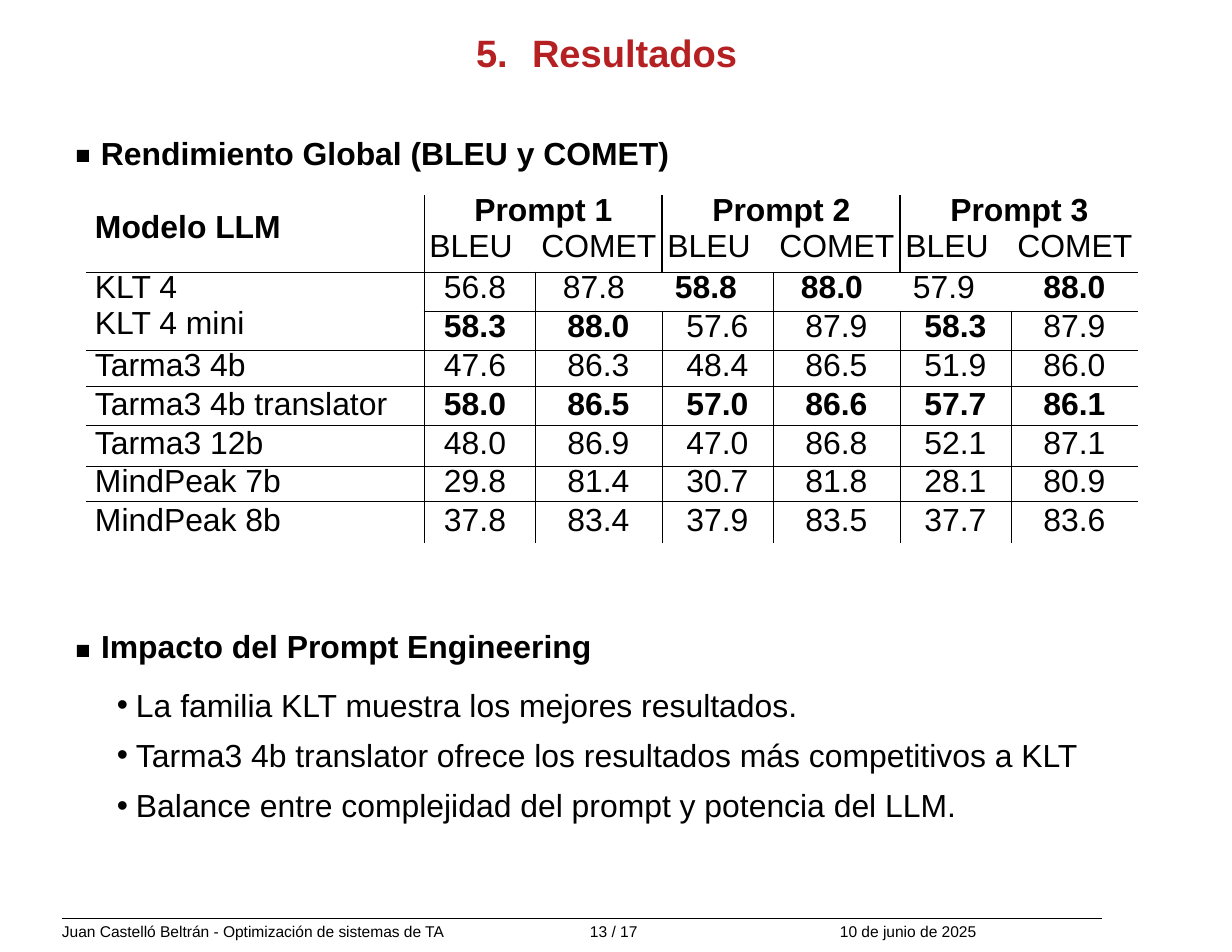
from lxml import etree
from pptx import Presentation
from pptx.dml.color import RGBColor
from pptx.enum.shapes import MSO_CONNECTOR, MSO_SHAPE
from pptx.enum.text import MSO_ANCHOR, MSO_AUTO_SIZE, PP_ALIGN
from pptx.oxml.ns import qn
from pptx.util import Pt

EMU_PER_PX = 914400 / 112
STRAIGHT = MSO_CONNECTOR.STRAIGHT
RECTANGLE = MSO_SHAPE.RECTANGLE
TOP = MSO_ANCHOR.TOP
NO_FIT = MSO_AUTO_SIZE.NONE
LEFT, CENTER = PP_ALIGN.LEFT, PP_ALIGN.CENTER

COLORS = {"title": "B52123", "ink": "000000"}
PLAIN_TABLE = "{2D5ABB26-0587-4C30-8999-92F81FD0307C}"

# Results: "*" marks the best values, a tab separates values in a joined cell
HEADER = ["Modelo LLM", "Prompt 1", "Prompt 2", "Prompt 3"]
METRICS = "BLEU\tCOMET"
RESULTS = [
    (["KLT 4", "56.8", "87.8\t*58.8", None, "*88.0\t57.9", None, "*88.0"], 21.6),
    (["KLT 4 mini", "*58.3", "*88.0", "57.6", "87.9", "*58.3", "87.9"], 21.4),
    (["Tarma3 4b", "47.6", "86.3", "48.4", "86.5", "51.9", "86.0"], 21.6),
    (["Tarma3 4b translator", "*58.0", "*86.5", "*57.0", "*86.6", "*57.7", "*86.1"], 23.4),
    (["Tarma3 12b", "48.0", "86.9", "47.0", "86.8", "52.1", "87.1"], 23.3),
    (["MindPeak 7b", "29.8", "81.4", "30.7", "81.8", "28.1", "80.9"], 21.6),
    (["MindPeak 8b", "37.8", "83.4", "37.9", "83.5", "37.7", "83.6"], 23.4),
]
COLUMN_WIDTHS = [338] + [111, 127] * 3
ROW_HEIGHTS = [77, 39, 39, 36, 39, 41, 36, 41]
RULED_ROWS = {1, 2, 3, 4, 6, 7}  # rows with a line above them

FINDINGS = [
    ("La familia KLT muestra los mejores resultados.", 12.9),
    ("Tarma3 4b translator ofrece los resultados más competitivos a KLT", 7.8),
    ("Balance entre complejidad del prompt y potencia del LLM.", 7.8),
]
FOOTER = [
    (61, 395, "Juan Castelló Beltrán - Optimización de sistemas de TA"),
    (589, 56, "13 / 17"),
    (839, 145, "10 de junio de 2025"),
]


def px(length):
    return round(length * EMU_PER_PX)


def rgb(name):
    return RGBColor.from_string(COLORS[name])


class Deck:
    font = "Arial"
    text_size = 20.5

    def __init__(self, width, height):
        self.presentation = Presentation()
        self.presentation.slide_width = px(width)
        self.presentation.slide_height = px(height)
        self.slide = None

    def new_slide(self):
        layout = self.presentation.slide_layouts[1]
        self.slide = self.presentation.slides.add_slide(layout)

    def run(self, paragraph, text, bold=False, size=None, color="ink"):
        run = paragraph.add_run()
        run.text = text
        formats = {"name": self.font, "size": Pt(size or self.text_size), "bold": bold}
        for attribute, value in formats.items():
            setattr(run.font, attribute, value)
        run.font.color.rgb = rgb(color)

    def paragraph(self, paragraph, align=LEFT, indent=0, hanging=0, before=0,
                  spacing=None, bullet=None, tab=None):
        formats = {"alignment": align, "space_before": Pt(before)}
        if spacing:
            formats["line_spacing"] = Pt(spacing)
        for attribute, value in formats.items():
            setattr(paragraph, attribute, value)
        properties = paragraph._p.get_or_add_pPr()
        properties.set("marL", str(px(indent)))
        properties.set("indent", str(-px(hanging)))
        if bullet:
            etree.SubElement(properties, qn("a:buChar")).set("char", bullet)
        else:
            etree.SubElement(properties, qn("a:buNone"))
        if tab:
            tabs = etree.SubElement(properties, qn("a:tabLst"))
            stop = etree.SubElement(tabs, qn("a:tab"))
            stop.set("pos", str(px(tab)))
            stop.set("algn", "l")

    def place(self, shape, left, top, width, height, inset=0):
        box = {"left": left, "top": top, "width": width, "height": height}
        for attribute, value in box.items():
            setattr(shape, attribute, px(value))
        frame = shape.text_frame
        formats = {"word_wrap": True, "auto_size": NO_FIT, "vertical_anchor": TOP,
                   "margin_left": 0, "margin_right": 0, "margin_bottom": 0,
                   "margin_top": px(inset)}
        for attribute, value in formats.items():
            setattr(frame, attribute, value)
        return frame

    def title(self, box, text):
        frame = self.place(self.slide.shapes.title, *box, inset=3)
        self.paragraph(frame.paragraphs[0], indent=1, tab=73)
        self.run(frame.paragraphs[0], text, True, 24.5, "title")

    def text(self, box, text, bold=False, size=None, inset=2):
        shape = self.slide.shapes.add_textbox(0, 0, 0, 0)
        frame = self.place(shape, *box, inset=inset)
        self.paragraph(frame.paragraphs[0], indent=1)
        self.run(frame.paragraphs[0], text, bold, size)

    def body(self, box, heading, items):
        frame = self.place(self.slide.placeholders[1], *box, inset=21)
        self.paragraph(frame.paragraphs[0], indent=1)
        self.run(frame.paragraphs[0], heading, True)
        for item, before in items:
            paragraph = frame.add_paragraph()
            self.paragraph(paragraph, indent=36, hanging=19, before=before,
                           bullet="•", tab=36)
            self.run(paragraph, item)

    def square(self, left, top, side=12):
        mark = self.slide.shapes.add_shape(RECTANGLE, px(left), px(top), px(side), px(side))
        mark.shadow.inherit = False
        mark.fill.solid()
        mark.fill.fore_color.rgb = rgb("ink")
        mark.line.fill.background()

    def line(self, x1, y1, x2, y2):
        rule = self.slide.shapes.add_connector(STRAIGHT, px(x1), px(y1), px(x2), px(y2))
        rule.line.color.rgb = rgb("ink")
        rule.line.width = Pt(0.4)
        etree.SubElement(rule._element.spPr, qn("a:effectLst"))

    def border(self, cell, side, width=0.5):
        edge = etree.Element(qn(f"a:{side}"))
        edge.set("w", str(Pt(width)))
        fill = etree.SubElement(edge, qn("a:solidFill"))
        etree.SubElement(fill, qn("a:srgbClr")).set("val", COLORS["ink"])
        properties = cell._tc.get_or_add_tcPr()
        position = sum(child.tag == qn("a:lnL") for child in properties)
        properties.insert(position, edge)

    def table(self, left, top, widths, heights):
        frame = self.slide.shapes.add_table(len(heights), len(widths), px(left), px(top),
                                            px(sum(widths)), px(sum(heights)))
        table = frame.table
        table.first_row = table.horz_banding = False
        table._tbl.tblPr.find(qn("a:tableStyleId")).text = PLAIN_TABLE
        for column, width in zip(table.columns, widths):
            column.width = px(width)
        for row, height in zip(table.rows, heights):
            row.height = px(height)
        for cell in table.iter_cells():
            cell.fill.background()
            for side in ("left", "right", "top", "bottom"):
                setattr(cell, f"margin_{side}", 0)
        return table

    def cell_text(self, paragraph, text, **formats):
        self.paragraph(paragraph, **formats)
        for index, part in enumerate(text.split("\t")):
            self.run(paragraph, "\t" * bool(index) + part.lstrip("*"), part.startswith("*"))

    def results(self, left, top):
        table = self.table(left, top, COLUMN_WIDTHS, ROW_HEIGHTS)
        # Header: one joined cell per prompt
        corner = table.cell(0, 0)
        corner.margin_top = px(15)
        self.cell_text(corner.text_frame.paragraphs[0], "*" + HEADER[0], indent=9)
        for column, prompt in zip((1, 3, 5), HEADER[1:]):
            cell = table.cell(0, column)
            cell.merge(table.cell(0, column + 1))
            frame = cell.text_frame
            self.cell_text(frame.paragraphs[0], "*" + prompt, align=CENTER, indent=1, spacing=21.4)
            self.cell_text(frame.add_paragraph(), METRICS, align=CENTER, before=0.1, tab=103)
            if column > 1:
                self.border(cell, "lnL", 1 if column == 3 else 0.5)
        # Joined cells of the first two models
        table.cell(1, 0).merge(table.cell(2, 0))
        for column in (2, 4):
            table.cell(1, column).merge(table.cell(1, column + 1))
        # Models and scores
        for row, (values, spacing) in enumerate(RESULTS, 1):
            for column, value in enumerate(values):
                cell = table.cell(row, column)
                if column and (row > 1 or column < 3):
                    self.border(cell, "lnL")
                if row in RULED_ROWS and (row, column) != (2, 0):
                    self.border(cell, "lnT")
                if value is None:
                    continue
                if column == 0:
                    formats = {"indent": 9}
                elif "\t" in value:
                    formats = {"indent": 28, "tab": 147}
                else:
                    formats = {"indent": 20} if column == 1 else {"align": CENTER}
                if (row, column) == (2, 0):
                    paragraph = table.cell(1, 0).text_frame.add_paragraph()
                    self.cell_text(paragraph, value, before=0.1, **formats)
                else:
                    self.cell_text(cell.text_frame.paragraphs[0], value, spacing=spacing, **formats)


def main():
    deck = Deck(1232, 952)
    deck.new_slide()
    deck.title((475, 26, 290, 49), "5.\tResultados")

    # Overall performance
    deck.square(77, 150)
    deck.text((100, 132, 577, 41), "Rendimiento Global (BLEU y COMET)", bold=True)
    for top, bottom in ((195, 234), (234, 272)):
        deck.line(424, top, 424, bottom)
    deck.results(86, 195)

    # Prompt engineering findings
    deck.square(77, 645)
    deck.body((100, 606, 1024, 221), "Impacto del Prompt Engineering", FINDINGS)

    # Footer
    deck.line(62, 918, 1102, 918)
    for left, width, text in FOOTER:
        deck.text((left, 921, width, 22), text, size=10, inset=1)

    deck.presentation.save("out.pptx")


if __name__ == "__main__":
    main()
